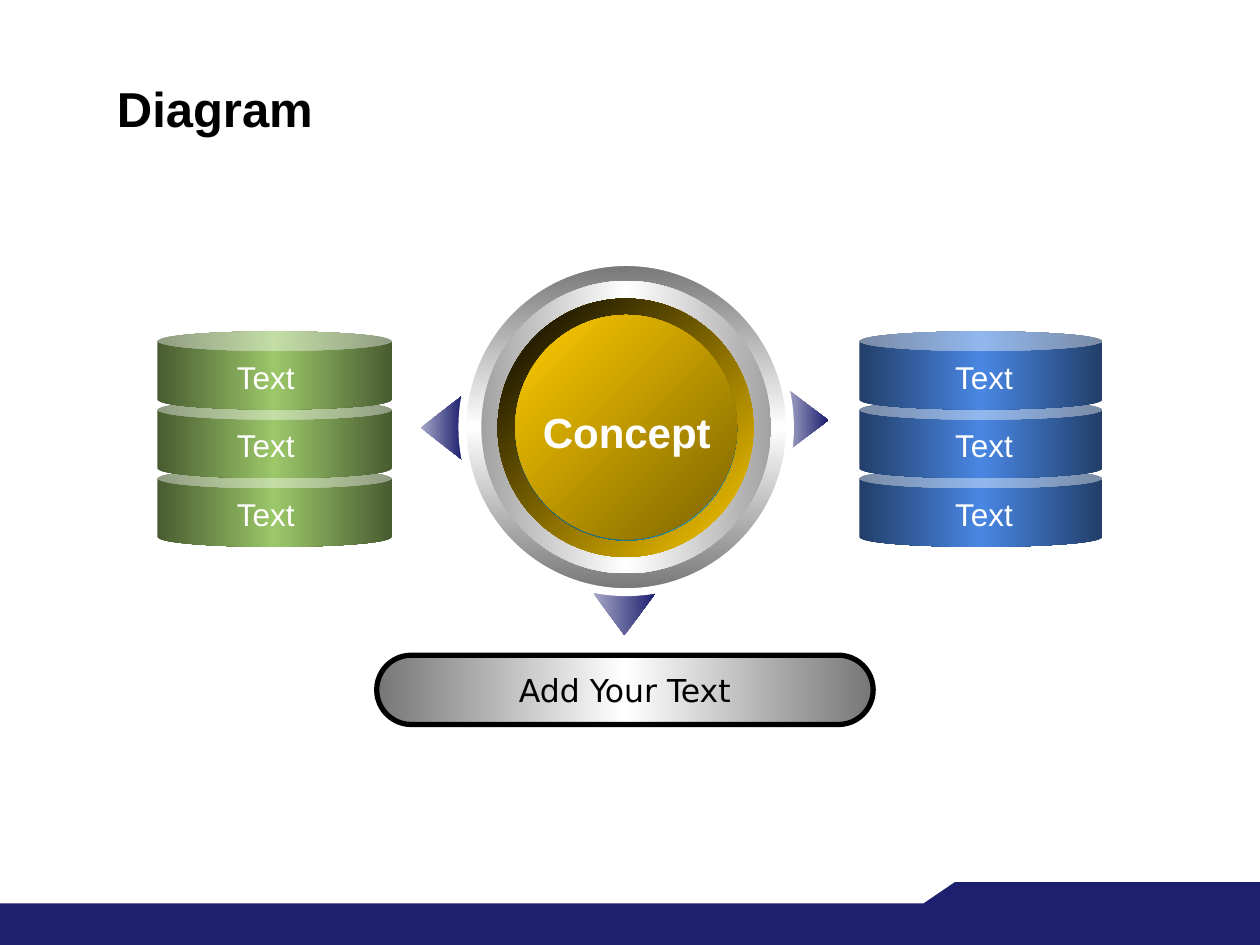
from dataclasses import dataclass

from lxml import etree
from pptx import Presentation
from pptx.dml.color import RGBColor
from pptx.enum.shapes import MSO_SHAPE as SHAPE
from pptx.enum.text import MSO_ANCHOR as ANCHOR, PP_ALIGN as ALIGN
from pptx.oxml.ns import qn
from pptx.util import Inches, Pt


@dataclass(frozen=True)
class Theme:
    font: str = "Arial"
    label_font: str = "DejaVu Sans"
    title_size: int = 28
    concept_size: int = 24
    text_size: int = 18
    navy: str = "1D1F6F"
    black: str = "000000"
    white: str = "FFFFFF"
    arrow: tuple = ("A6A7C7", "1D1F6F")
    steel: tuple = ("767676", "FFFFFF", "767676")
    silver: tuple = ("A2A2A2", "FFFFFF", "A2A2A2")
    pale_teal: tuple = ("FFFFFF", "36A1B6", "FFFFFF")
    deep_teal: tuple = ("1D5762", "36A1B6", "1D5762")
    gold_rim: tuple = ("FFCC00", "000000")
    gold: tuple = ("7C6300", "FFCC00")
    green: tuple = ("485C31", "9CC769", "485C31")
    blue: tuple = ("223E69", "4987E3", "223E69")


THEME = Theme()


def rgb(color):
    return RGBColor.from_string(color)


def set_gradient(sp, colors, angle):
    """Spread the colours evenly; the angle runs clockwise in degrees."""
    sp.fill.background()
    spPr = sp._element.spPr
    grad = etree.Element(qn("a:gradFill"))
    stops = etree.SubElement(grad, qn("a:gsLst"))
    for i, color in enumerate(colors):
        pos = str(100000 * i // (len(colors) - 1))
        gs = etree.SubElement(stops, qn("a:gs"), pos=pos)
        etree.SubElement(gs, qn("a:srgbClr"), val=color)
    etree.SubElement(grad, qn("a:lin"), ang=str(angle * 60000), scaled="0")
    spPr.replace(spPr.find(qn("a:noFill")), grad)


def set_line(sp, color, width):
    sp.line.color.rgb = rgb(color)
    sp.line.width = Pt(width)


def add_shape(s, kind, box, colors, angle=0, adjustments=()):
    """A single colour string gives a solid fill, a tuple a gradient."""
    sp = s.shapes.add_shape(kind, *map(Inches, box))
    sp.shadow.inherit = False
    sp.line.fill.background()
    for i, value in enumerate(adjustments):
        sp.adjustments[i] = value
    if isinstance(colors, str):
        sp.fill.solid()
        sp.fill.fore_color.rgb = rgb(colors)
    else:
        set_gradient(sp, colors, angle)
    return sp


def write(sp, text, size, color, font=THEME.font, bold=False,
          align=ALIGN.CENTER, anchor=ANCHOR.TOP, wrap=False):
    tf = sp.text_frame
    tf.word_wrap = wrap
    tf.vertical_anchor = anchor
    p = tf.paragraphs[0]
    p.text = text
    p.alignment = align
    p.font.name, p.font.size, p.font.bold = font, Pt(size), bold
    p.font.color.rgb = rgb(color)


def add_text(s, box, *args, **kwargs):
    write(s.shapes.add_textbox(*map(Inches, box)), *args, **kwargs)


def add_footer(s):
    add_shape(s, SHAPE.RECTANGLE, (0, 7.17, 10, 0.33), THEME.navy)
    builder = s.shapes.build_freeform(Inches(7.33), Inches(7.17))
    outline = [(7.58, 7), (10, 7), (10, 7.25), (7.33, 7.25)]
    builder.add_line_segments([(Inches(x), Inches(y)) for x, y in outline])
    tab = builder.convert_to_shape()
    tab.shadow.inherit = False
    tab.line.fill.background()
    tab.fill.solid()
    tab.fill.fore_color.rgb = rgb(THEME.navy)


def add_arrow(s, box, rotation, angle):
    sp = add_shape(s, SHAPE.UP_ARROW, box, THEME.arrow, angle, (0.517, 1))
    sp.rotation = rotation
    sp._element.spPr.find(qn("a:xfrm")).set("flipH", "1")


def add_medallion(s):
    rings = [
        ((3.67, 2.08, 2.6, 2.62), THEME.steel, 90),
        ((3.82, 2.23, 2.3, 2.32), THEME.silver, 180),
        ((3.95, 2.37, 2.03, 2.05), THEME.pale_teal, 225),
        ((3.95, 2.37, 2.03, 2.05), THEME.gold_rim, 225),
        ((4.09, 2.51, 1.76, 1.78), THEME.deep_teal, 135),
        ((4.09, 2.5, 1.76, 1.78), THEME.gold, 225),
    ]
    discs = [add_shape(s, SHAPE.OVAL, *ring) for ring in rings]
    set_line(discs[0], THEME.white, 4.5)
    add_text(s, (4.21, 3.18, 1.53, 0.5), "Concept", THEME.concept_size,
             THEME.white, bold=True)


def add_stack(s, left, width, text_left, colors, labels):
    top, step = 2.63, 0.545
    for i in reversed(range(len(labels))):  # lowest can first
        box = (left, top + i * step, width, 0.62)
        add_shape(s, SHAPE.CAN, box, colors, 180, (0.25,))
    for i, label in enumerate(labels):
        add_text(s, (text_left, top + 0.16 + i * step, 0.68, 0.4), label,
                 THEME.text_size, THEME.white)


def main():
    prs = Presentation()
    prs.slide_width, prs.slide_height = Inches(10), Inches(7.5)
    s = prs.slides.add_slide(prs.slide_layouts[6])

    # Footer band and title
    add_footer(s)
    add_text(s, (0.83, 0.55, 8.58, 0.62), "Diagram", THEME.title_size,
             THEME.black, bold=True, align=ALIGN.LEFT, anchor=ANCHOR.MIDDLE,
             wrap=True)

    # Arrows left, right and down, partly behind the medallion
    add_arrow(s, (3.25, 3.23, 0.51, 0.33), 270, 90)
    add_arrow(s, (6.16, 3.17, 0.5, 0.33), 90, 270)
    add_arrow(s, (4.71, 4.71, 0.49, 0.33), 180, 0)
    add_medallion(s)

    # Stacks on both sides
    labels = ["Text"] * 3
    add_stack(s, 1.25, 1.86, 1.77, THEME.green, labels)
    add_stack(s, 6.82, 1.93, 7.47, THEME.blue, labels)

    # Pill below
    pill = add_shape(s, SHAPE.ROUNDED_RECTANGLE, (2.99, 5.2, 3.94, 0.55),
                     THEME.steel, 180, (0.5,))
    set_line(pill, THEME.black, 3)
    write(pill, "Add Your Text", THEME.text_size, THEME.black,
          font=THEME.label_font, anchor=ANCHOR.MIDDLE)

    prs.save("out.pptx")


if __name__ == "__main__":
    main()
